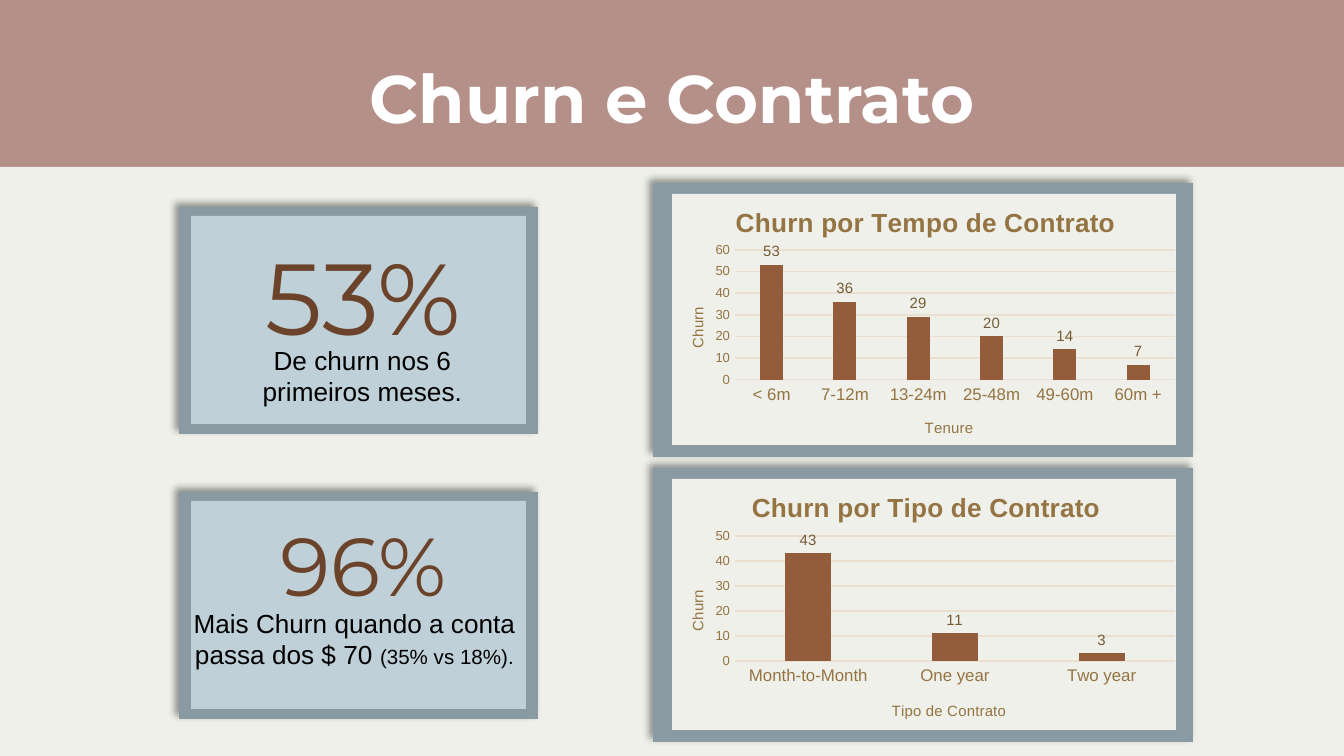
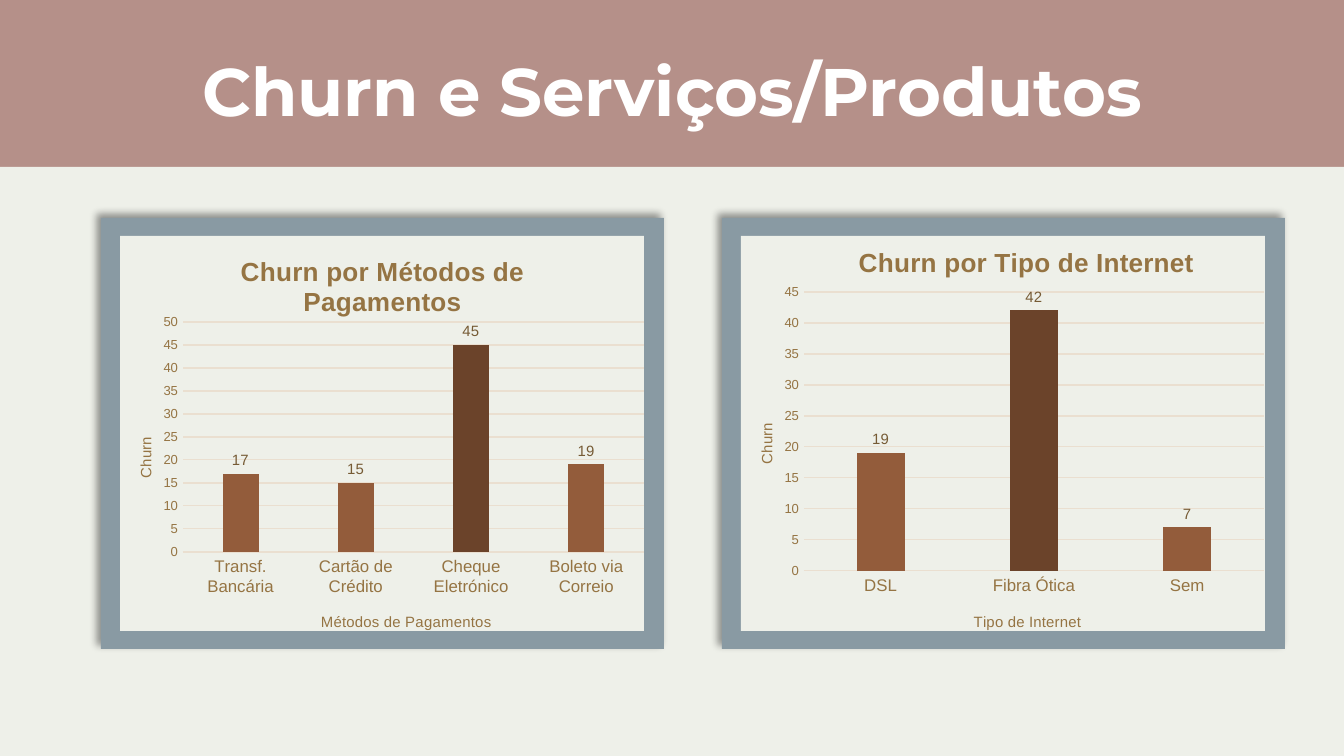
from dataclasses import dataclass

from pptx import Presentation
from pptx.chart.data import CategoryChartData
from pptx.dml.color import RGBColor
from pptx.enum.chart import XL_CHART_TYPE, XL_LABEL_POSITION, XL_TICK_MARK
from pptx.enum.shapes import MSO_SHAPE
from pptx.enum.text import MSO_ANCHOR, MSO_AUTO_SIZE, PP_ALIGN
from pptx.oxml.ns import qn
from pptx.oxml.xmlchemy import OxmlElement
from pptx.util import Emu, Inches, Pt

RECTANGLE = MSO_SHAPE.RECTANGLE
COLUMNS = XL_CHART_TYPE.COLUMN_CLUSTERED
OUTSIDE_END = XL_LABEL_POSITION.OUTSIDE_END
NO_TICK = XL_TICK_MARK.NONE
CENTER = PP_ALIGN.CENTER
TOP, MIDDLE = MSO_ANCHOR.TOP, MSO_ANCHOR.MIDDLE
NO_AUTOFIT = MSO_AUTO_SIZE.NONE

WIDTH, HEIGHT = 1344, 756
SCALE = Inches(10) / WIDTH
INSET = 13

COLORS = {
    "band": "B59089", "page": "EEF0E9", "white": "FFFFFF", "black": "000000",
    "frame": "899AA3", "card": "C0D0D8", "number": "6B432A",
    "column": "935C3B", "highlight": "6B432A", "chart text": "281F12",
    "axis": "957443", "label": "765B35", "grid": "EADFD0",
}
BODY_FONT, TITLE_FONT = "Arial", "Montserrat"


@dataclass
class ChurnChart:
    title: str
    axis_title: str
    values: dict
    maximum: int
    step: int
    plot: tuple           # left, top, width, height on the slide
    title_at: tuple       # left, top on the slide
    category_title_at: tuple
    value_title_at: tuple
    highlight: int = -1


def px(length):
    return Emu(round(length * SCALE))


def color(name):
    return RGBColor.from_string(COLORS[name])


def style_font(font, size, color_name, name=BODY_FONT, bold=False):
    font.size = Pt(size)
    font.name = name
    font.bold = bold
    font.color.rgb = color(color_name)


# Shapes and text

def add_rectangle(slide, box, fill, shadow=False):
    shape = slide.shapes.add_shape(RECTANGLE, *map(px, box))
    shape.fill.solid()
    shape.fill.fore_color.rgb = color(fill)
    shape.line.fill.background()
    shape.shadow.inherit = False
    if shadow:
        add_soft_shadow(shape)
    return shape


def add_soft_shadow(shape):
    outer = OxmlElement("a:outerShdw")
    outer.set("blurRad", str(Pt(4)))
    outer.set("dist", str(Pt(3)))
    outer.set("dir", str(225 * 60000))
    outer.set("algn", "br")
    outer.set("rotWithShape", "0")
    shade = OxmlElement("a:srgbClr")
    shade.set("val", COLORS["black"])
    alpha = OxmlElement("a:alpha")
    alpha.set("val", "40000")
    shade.append(alpha)
    outer.append(shade)
    shape.element.spPr.find(qn("a:effectLst")).append(outer)


def write_text(shape, lines, color_name, font_name, anchor, bold=False):
    """Each line is a list of (text, size) runs."""
    frame = shape.text_frame
    frame.word_wrap = True
    frame.auto_size = NO_AUTOFIT
    frame.vertical_anchor = anchor
    frame.margin_left = frame.margin_right = px(INSET)
    frame.margin_top = frame.margin_bottom = px(INSET)
    for index, line in enumerate(lines):
        paragraph = frame.add_paragraph() if index else frame.paragraphs[0]
        paragraph.alignment = CENTER
        for text, size in line:
            run = paragraph.add_run()
            run.text = text
            style_font(run.font, size, color_name, font_name, bold)


def add_text(slide, box, lines, color_name, font_name, anchor=TOP):
    shape = slide.shapes.add_textbox(*map(px, box))
    write_text(shape, lines, color_name, font_name, anchor)


def add_number_card(slide, top, number, number_size, number_top,
                    caption, caption_box):
    add_rectangle(slide, (179, top, 359, 227), "frame", shadow=True)
    add_rectangle(slide, (191, top + 9, 335, 208), "card")
    add_text(slide, caption_box, caption, "black", BODY_FONT)
    add_text(slide, (196, number_top, 335, 81), [[(number, number_size)]],
             "number", TITLE_FONT, MIDDLE)


# Charts

def set_layout(element, position, chart_box, index):
    """Place a chart part by its slide position, as fractions of the chart."""
    left, top, width, height = chart_box
    fractions = {"x": (position[0] - left) / width,
                 "y": (position[1] - top) / height}
    settings = {"xMode": "edge", "yMode": "edge"}
    if len(position) == 4:
        settings = {"layoutTarget": "inner", **settings}
        fractions["w"] = position[2] / width
        fractions["h"] = position[3] / height
    settings.update({key: f"{value:.4f}" for key, value in fractions.items()})
    for old_layout in element.findall(qn("c:layout")):
        element.remove(old_layout)
    layout, manual = OxmlElement("c:layout"), OxmlElement("c:manualLayout")
    for name, value in settings.items():
        setting = OxmlElement(f"c:{name}")
        setting.set("val", value)
        manual.append(setting)
    layout.append(manual)
    element.insert(index, layout)


def write_chart_title(title, text, size, position, chart_box, bold=False):
    paragraph = title.text_frame.paragraphs[0]
    paragraph.alignment = CENTER
    run = paragraph.add_run()
    run.text = text
    style_font(run.font, size, "axis", bold=bold)
    set_layout(title.element, position, chart_box, 1)


def style_axis(axis, size):
    axis.major_tick_mark = axis.minor_tick_mark = NO_TICK
    style_font(axis.tick_labels.font, size, "axis")


def style_line(line):
    line.color.rgb = color("grid")
    line.width = Pt(0.75)


def add_churn_chart(slide, box, content):
    data = CategoryChartData()
    data.categories = list(content.values)
    data.add_series("Series 1", list(content.values.values()))
    chart = slide.shapes.add_chart(COLUMNS, *map(px, box), data).chart
    chart.has_legend = False
    style_font(chart.font, 10, "chart text")
    write_chart_title(chart.chart_title, content.title, 14,
                      content.title_at, box, bold=True)
    set_layout(chart.element.chart.plotArea, content.plot, box, 0)

    # Axes
    categories, values = chart.category_axis, chart.value_axis
    style_axis(categories, 9)
    style_line(categories.format.line)
    style_axis(values, 7)
    values.format.line.fill.background()
    style_line(values.major_gridlines.format.line)
    values.minimum_scale = 0
    values.maximum_scale = content.maximum
    values.major_unit = content.step
    write_chart_title(categories.axis_title, content.axis_title, 8,
                      content.category_title_at, box)
    write_chart_title(values.axis_title, "Churn", 8,
                      content.value_title_at, box)
    body = values.axis_title.element.find(".//" + qn("a:bodyPr"))
    body.set("rot", "-5400000")
    body.set("vert", "horz")

    # Columns and their labels
    plot = chart.plots[0]
    plot.vary_by_categories = False
    plot.gap_width = 219
    plot.overlap = -27
    series = plot.series[0]
    series.format.fill.solid()
    series.format.fill.fore_color.rgb = color("column")
    if content.highlight >= 0:
        fill = series.points[content.highlight].format.fill
        fill.solid()
        fill.fore_color.rgb = color("highlight")
    labels = series.data_labels
    labels.show_value = True
    labels.position = OUTSIDE_END
    style_font(labels.font, 8, "label")


def add_chart_panel(slide, frame, face, chart_box, content):
    add_rectangle(slide, frame, "frame", shadow=True)
    add_rectangle(slide, face, "page")
    add_churn_chart(slide, chart_box, content)


# Slides

def add_slide(presentation, title, title_top):
    slide = presentation.slides.add_slide(presentation.slide_layouts[5])
    shape = slide.shapes.title
    shape.left, shape.top = px(100), px(title_top)
    shape.width, shape.height = px(1144), px(70)
    write_text(shape, [[(title, 36)]], "white", TITLE_FONT, MIDDLE, bold=True)
    return slide


def style_layout(presentation, slide):
    """Give the shared layout its band colour and the page below it."""
    layout = slide.slide_layout
    layout.background.fill.solid()
    layout.background.fill.fore_color.rgb = color("band")
    page = add_rectangle(slide, (0, 167, WIDTH, HEIGHT - 167), "page")
    layout.shapes.element.insert(2, page.element)


def build_contract_slide(slide):
    add_number_card(
        slide, 207, "53%", 54, 255,
        [[("De churn nos 6", 14)], [("primeiros meses.", 14)]],
        (195, 331, 335, 79))
    add_number_card(
        slide, 492, "96%", 44, 523,
        [[("Mais Churn quando a conta", 14)],
         [("passa dos $ 70 ", 14), ("(35% vs 18%).", 11)]],
        (79, 594, 551, 79))
    charts = [
        ChurnChart("Churn por Tempo de Contrato", "Tenure",
                   {"< 6m": 53, "7-12m": 36, "13-24m": 29, "25-48m": 20,
                    "49-60m": 14, "60m +": 7}, 60, 10,
                   (735, 250, 440, 130), (731, 201), (922, 415), (685, 304)),
        ChurnChart("Churn por Tipo de Contrato", "Tipo de Contrato",
                   {"Month-to-Month": 43, "One year": 11, "Two year": 3},
                   50, 10,
                   (735, 536, 440, 125), (747, 486), (889, 698), (685, 587)),
    ]
    for row, content in enumerate(charts):
        top = 183 + 285 * row
        add_chart_panel(slide, (653, top, 540, 274), (672, top + 11, 504, 251),
                        (656, top, 531, 277), content)


def build_services_slide(slide):
    charts = [
        ChurnChart("Churn por Métodos de Pagamentos", "Métodos de Pagamentos",
                   {"Transf. Bancária": 17, "Cartão de Crédito": 15,
                    "Cheque Eletrónico": 45, "Boleto via Correio": 19}, 50, 5,
                   (183, 322, 461, 230), (236, 250), (318, 609), (133, 434),
                   highlight=2),
        ChurnChart("Churn por Tipo de Internet", "Tipo de Internet",
                   {"DSL": 19, "Fibra Ótica": 42, "Sem": 7}, 45, 5,
                   (804, 292, 460, 279), (854, 241), (971, 609), (754, 420),
                   highlight=1),
    ]
    for column, content in enumerate(charts):
        left = 101 + 621 * column
        add_chart_panel(slide, (left, 218, 563, 431), (left + 19, 236, 524, 395),
                        (left + 2, 218, 552, 435), content)


def main():
    presentation = Presentation()
    presentation.slide_width, presentation.slide_height = px(WIDTH), px(HEIGHT)
    contract = add_slide(presentation, "Churn e Contrato", 62)
    style_layout(presentation, contract)
    build_contract_slide(contract)
    build_services_slide(
        add_slide(presentation, "Churn e Serviços/Produtos", 55))
    presentation.save("out.pptx")


if __name__ == "__main__":
    main()
